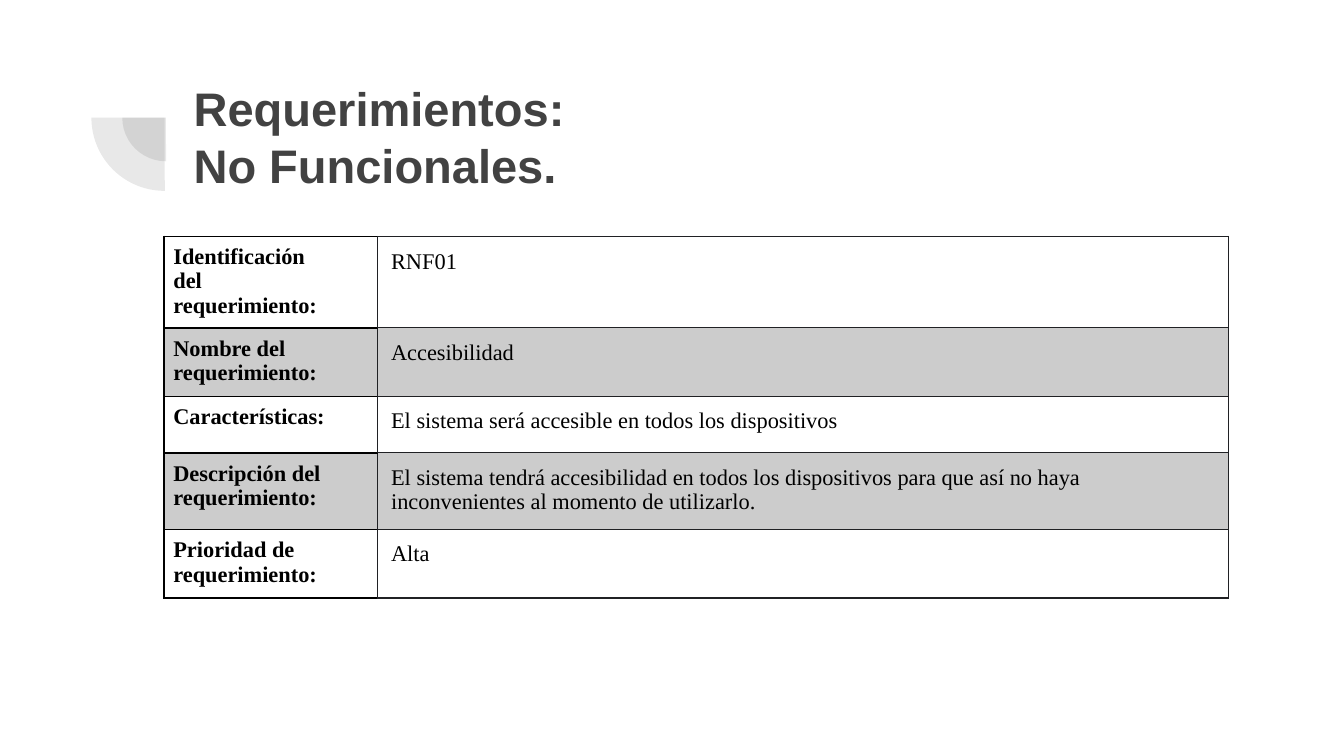
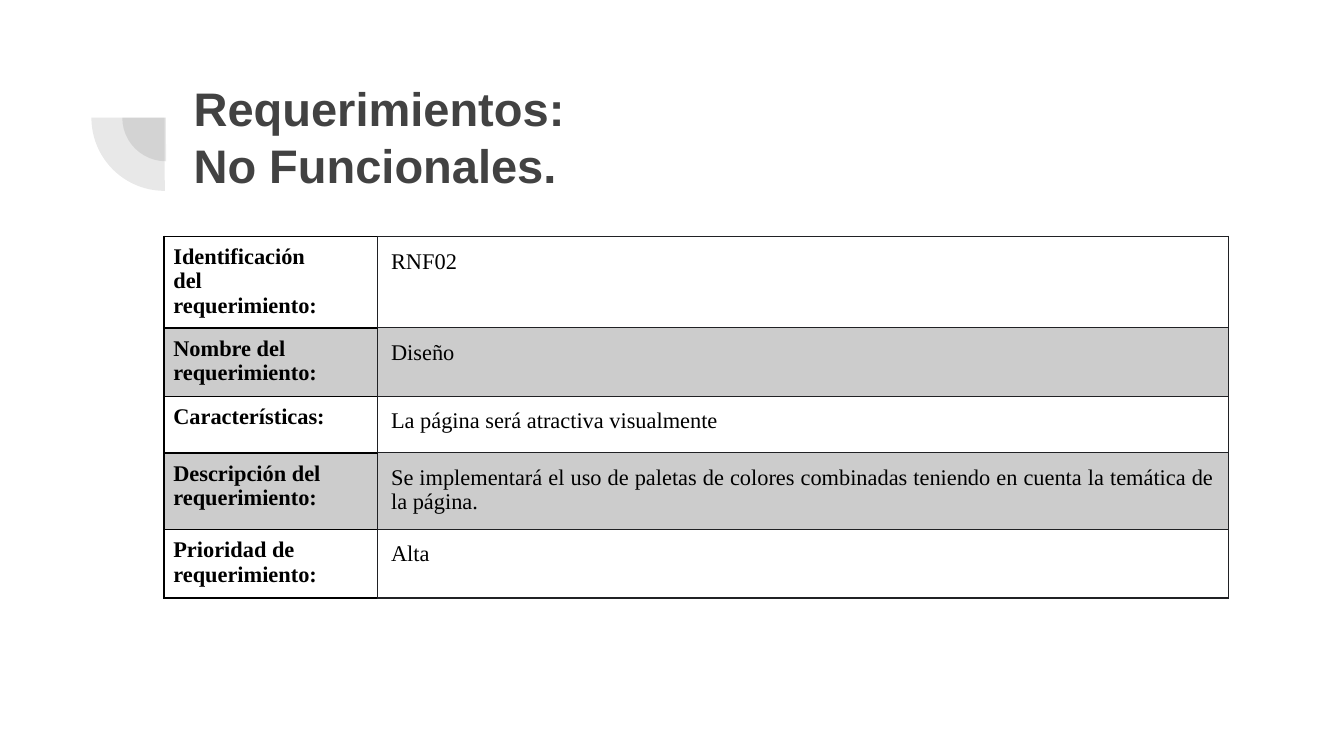
from dataclasses import dataclass

from lxml import etree
from pptx import Presentation
from pptx.dml.color import RGBColor
from pptx.enum.shapes import MSO_SHAPE
from pptx.enum.text import MSO_ANCHOR, MSO_AUTO_SIZE, PP_ALIGN
from pptx.oxml.ns import qn
from pptx.util import Inches, Pt

PIE = MSO_SHAPE.PIE
TOP, MIDDLE = MSO_ANCHOR.TOP, MSO_ANCHOR.MIDDLE
LEFT, JUSTIFY = PP_ALIGN.LEFT, PP_ALIGN.JUSTIFY
NO_FIT = MSO_AUTO_SIZE.NONE


@dataclass(frozen=True)
class Theme:
    heading: str = "424242"
    text: str = "000000"
    band: str = "CCCCCC"
    label_line: str = "000000"
    value_line: str = "202124"
    heading_font: str = "Arial"
    table_font: str = "Times New Roman"
    heading_size: float = 25.2
    table_size: float = 12
    pie_alpha: int = 12


THEME = Theme()
SLIDE_WIDTH = 10
SLIDE_HEIGHT = SLIDE_WIDTH * 9 / 16
TITLE = ["Requerimientos:", "No Funcionales."]
LABELS = [
    ["Identificación\vdel", "requerimiento:"],
    ["Nombre del", "requerimiento:"],
    ["Características:"],
    ["Descripción del requerimiento:"],
    ["Prioridad de", "requerimiento:"],
]
COL_WIDTHS = [1.59, 6.33]
ROW_HEIGHTS = [0.68, 0.51, 0.42, 0.57, 0.51]
REQUIREMENTS = [
    (["RNF01", "Accesibilidad",
      "El sistema será accesible en todos los dispositivos",
      "El sistema tendrá accesibilidad en todos los dispositivos para que así "
      "no haya inconvenientes al momento de utilizarlo.",
      "Alta"], LEFT),
    (["RNF02", "Diseño",
      "La página será atractiva visualmente",
      "Se implementará el uso de paletas de colores combinadas teniendo en "
      "cuenta la temática de la página.",
      "Alta"], JUSTIFY),
]


def write_text(tf, lines, *, font, size, color, bold=False, align=LEFT,
               spacing=1.0, gap=0):
    """Write one paragraph per line, with gap points between paragraphs."""
    tf.word_wrap = True
    for i, line in enumerate(lines):
        p = tf.paragraphs[0] if i == 0 else tf.add_paragraph()
        p.text = line
        p.alignment = align
        p.line_spacing = spacing
        p.space_before = Pt(gap if i else 0)
        for r in p.runs:
            r.font.name = font
            r.font.size = Pt(size)
            r.font.bold = bold
            r.font.color.rgb = RGBColor.from_string(color)


def set_margins(box, inset):
    box.margin_left = box.margin_right = Inches(inset)
    box.margin_top = box.margin_bottom = Inches(inset)


def set_borders(cell, borders):
    """Set borders from a dict of side (L, R, T, B) to (colour, points)."""
    tc_pr = cell._tc.get_or_add_tcPr()
    for i, side in enumerate("LRTB"):
        color, width = borders[side]
        ln = etree.Element(qn(f"a:ln{side}"), w=str(Pt(width)))
        fill = etree.SubElement(ln, qn("a:solidFill"))
        etree.SubElement(fill, qn("a:srgbClr"), val=color)
        tc_pr.insert(i, ln)


def add_quarter_pie(s, left, top, size):
    pie = s.shapes.add_shape(PIE, Inches(left), Inches(top),
                             Inches(size), Inches(size))
    pie.adjustments[0], pie.adjustments[1] = 107.93, 162
    pie.rotation = 270
    pie.shadow.inherit = False
    pie.line.fill.background()
    pie.fill.solid()
    pie.fill.fore_color.rgb = RGBColor.from_string(THEME.heading)
    color = pie.element.spPr.find(f"{qn('a:solidFill')}/{qn('a:srgbClr')}")
    etree.SubElement(color, qn("a:alpha"), val=str(THEME.pie_alpha * 1000))
    return pie


def decorate_layout(layout, s):
    """Draw the pies on a slide, then move them to its layout."""
    for box in [(0.91, 0.55, 0.65), (0.68, 0.33, 1.09)]:
        layout.shapes.element.append(add_quarter_pie(s, *box).element)


def set_title(s):
    title = s.shapes.title
    title.left, title.top = Inches(1.34), Inches(0.47)
    title.width, title.height = Inches(7.69), Inches(1.09)
    tf = title.text_frame
    set_margins(tf, 0.1)
    tf.vertical_anchor = MIDDLE
    tf.auto_size = NO_FIT
    write_text(tf, TITLE, font=THEME.heading_font, size=THEME.heading_size,
               color=THEME.heading, bold=True)


def fill_cell(cell, lines, *, inset, banded, borders, **text_format):
    set_margins(cell, inset)
    cell.vertical_anchor = TOP
    if banded:
        cell.fill.solid()
        cell.fill.fore_color.rgb = RGBColor.from_string(THEME.band)
    else:
        cell.fill.background()
    set_borders(cell, borders)
    write_text(cell.text_frame, lines, font=THEME.table_font,
               size=THEME.table_size, color=THEME.text, spacing=0.96,
               **text_format)


def add_requirement_table(s, values, description_align):
    table = s.shapes.add_table(
        len(LABELS), len(COL_WIDTHS), Inches(1.22), Inches(1.76),
        Inches(sum(COL_WIDTHS)), Inches(sum(ROW_HEIGHTS))).table
    table.first_row = table.horz_banding = False
    for col, width in zip(table.columns, COL_WIDTHS):
        col.width = Inches(width)
    for row, height in zip(table.rows, ROW_HEIGHTS):
        row.height = Inches(height)

    divider = (THEME.value_line, 1)
    label_borders = dict.fromkeys("LTB", (THEME.label_line, 1)) | {"R": divider}
    value_borders = dict.fromkeys("RTB", (THEME.value_line, 0.75)) | {"L": divider}
    for i, (label, value) in enumerate(zip(LABELS, values)):
        banded = i % 2 == 1
        fill_cell(table.cell(i, 0), label, inset=0.07, banded=banded,
                  borders=label_borders, bold=True, gap=0.3)
        fill_cell(table.cell(i, 1), [value], inset=0.1, banded=banded,
                  borders=value_borders,
                  align=description_align if i == 3 else LEFT)


def main():
    prs = Presentation()
    prs.slide_width, prs.slide_height = Inches(SLIDE_WIDTH), Inches(SLIDE_HEIGHT)
    layout = prs.slide_layouts[5]
    for i, (values, description_align) in enumerate(REQUIREMENTS):
        s = prs.slides.add_slide(layout)
        if i == 0:
            decorate_layout(layout, s)
        set_title(s)
        add_requirement_table(s, values, description_align)
    prs.save("out.pptx")


if __name__ == "__main__":
    main()
